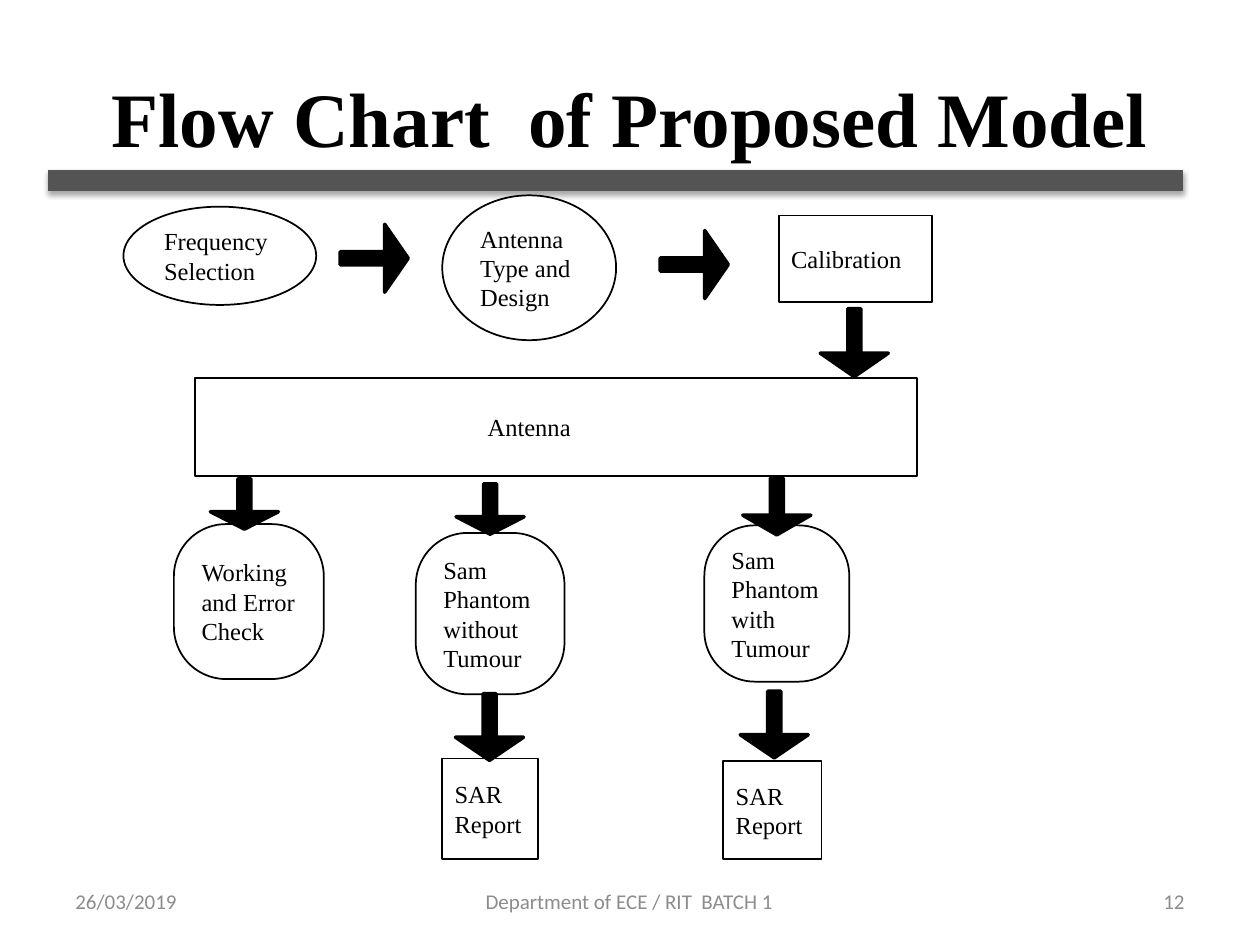
from lxml import etree
from pptx import Presentation
from pptx.dml.color import RGBColor
from pptx.enum.shapes import MSO_SHAPE
from pptx.enum.text import MSO_ANCHOR, PP_ALIGN
from pptx.oxml.ns import qn
from pptx.util import Pt

PX = 9144  # 100 px to the inch
OVAL, RECT = MSO_SHAPE.OVAL, MSO_SHAPE.RECTANGLE
ROUND, ARROW = MSO_SHAPE.ROUNDED_RECTANGLE, MSO_SHAPE.RIGHT_ARROW
MINUS = MSO_SHAPE.MATH_MINUS
LEFT, MID, RIGHT = PP_ALIGN.LEFT, PP_ALIGN.CENTER, PP_ALIGN.RIGHT
SERIF, SANS = "Times New Roman", "Calibri"
COLORS = {"ink": "000000", "paper": "FFFFFF", "bar": "545454", "foot": "8C8C8C"}


def color(name):
    return RGBColor.from_string(COLORS[name])


def emu(box):
    return [n * PX for n in box]


def write(shape, text, size=14, font=SERIF, ink="ink", bold=False, align=LEFT,
          inset=10):
    frame = shape.text_frame
    frame.word_wrap = True
    frame.vertical_anchor = MSO_ANCHOR.MIDDLE
    frame.margin_left = inset * PX
    frame.text = text
    for para in frame.paragraphs:
        para.alignment = align
        style = para.runs[0].font
        style.size, style.name, style.bold = Pt(size), font, bold
        style.color.rgb = color(ink)


def draw(slide, kind, box, fill, line=None, adjust=()):
    """Add a preset shape; line is its black outline in points."""
    shape = slide.shapes.add_shape(kind, *emu(box))
    shape.shadow.inherit = False
    shape.fill.solid()
    shape.fill.fore_color.rgb = color(fill)
    if line:
        shape.line.color.rgb = color("ink")
        shape.line.width = Pt(line)
    else:
        shape.line.fill.background()
    for i, value in enumerate(adjust):
        shape.adjustments[i] = value
    return shape


def node(slide, kind, box, text, inset=10):
    adjust = (0.348,) if kind == ROUND else ()
    write(draw(slide, kind, box, "paper", 1, adjust), text, inset=inset)


def arrow(slide, x, y, length=54, turn=90):
    """Add a block arrow centred on x, y."""
    wide = 54
    box = (x - length / 2, y - wide / 2, length, wide)
    shape = draw(slide, ARROW, [round(n) for n in box], "ink", 2, (0.192, 0.346))
    shape.rotation = turn


def header(slide, box):
    x, y, w, h = box
    title = slide.shapes.title
    title.left, title.top, title.width, title.height = emu(box)
    write(title, "Flow Chart  of Proposed Model", 44, bold=True, align=MID)
    bar = draw(slide, MINUS, (x - 174, y + 78, w + 325, 71), "bar")
    effects = bar._element.spPr.find(qn("a:effectLst"))
    shade = etree.SubElement(effects, qn("a:outerShdw"), blurRad=str(Pt(3.1)),
                             dist=str(Pt(1.8)), dir="5400000", rotWithShape="0")
    ink = etree.SubElement(shade, qn("a:srgbClr"), val=COLORS["ink"])
    etree.SubElement(ink, qn("a:alpha"), val="35000")


def steps(slide, box):
    """The row of steps that leads to the antenna."""
    x, y = box[:2]
    node(slide, OVAL, (x, y + 9, 153, 78), "Frequency Selection")
    node(slide, OVAL, (x + 253, y, 138, 115), "Antenna Type and Design")
    node(slide, RECT, (x + 520, y + 16, 122, 69), "Calibration")
    arrow(slide, x + 199, y + 50, turn=0)
    arrow(slide, x + 453, y + 55, turn=0)
    arrow(slide, x + 580, y + 117)


def checks(slide, box):
    """The antenna with its three branches and their reports."""
    x, y, w = box[:3]
    node(slide, RECT, (x, y, w, 78), "Antenna", inset=232)
    branches = [
        ((-17, 116, 119, 123), "Working and Error Check", (39, 100, 40), None),
        ((175, 123, 118, 128), "Sam Phantom without Tumour", (234, 104, 40),
         ((196, 302, 76, 80), (234, 277))),
        ((404, 117, 115, 124), "Sam Phantom with Tumour", (461, 102, 45),
         ((419, 304, 78, 78), (459, 275))),
    ]
    for (dx, dy, wide, high), text, (ax, ay, length), report in branches:
        node(slide, ROUND, (x + dx, y + dy, wide, high), text)
        arrow(slide, x + ax, y + ay, length)
        if report:
            (dx, dy, wide, high), (ax, ay) = report
            node(slide, RECT, (x + dx, y + dy, wide, high), "SAR\nReport")
            arrow(slide, x + ax, y + ay, 53)


def footer(slide, box):
    x, y, w, h = box
    side, wide = 233, 317
    for left, width, text, align in (
            (x, side, "26/03/2019", LEFT),
            (x + (w - wide) // 2, wide, "Department of ECE / RIT  BATCH 1", MID),
            (x + w - side, side, "12", RIGHT)):
        area = slide.shapes.add_textbox(*emu((left, y, width, h)))
        write(area, text, 12, SANS, "foot", align=align)


def main():
    deck = Presentation()
    deck.slide_width, deck.slide_height = emu((1000, 750))
    slide = deck.slides.add_slide(deck.slide_layouts[5])
    header(slide, (50, 30, 900, 125))
    steps(slide, (98, 155, 642, 144))
    checks(slide, (155, 300, 573, 382))
    footer(slide, (50, 695, 900, 40))
    deck.save("out.pptx")


if __name__ == "__main__":
    main()
